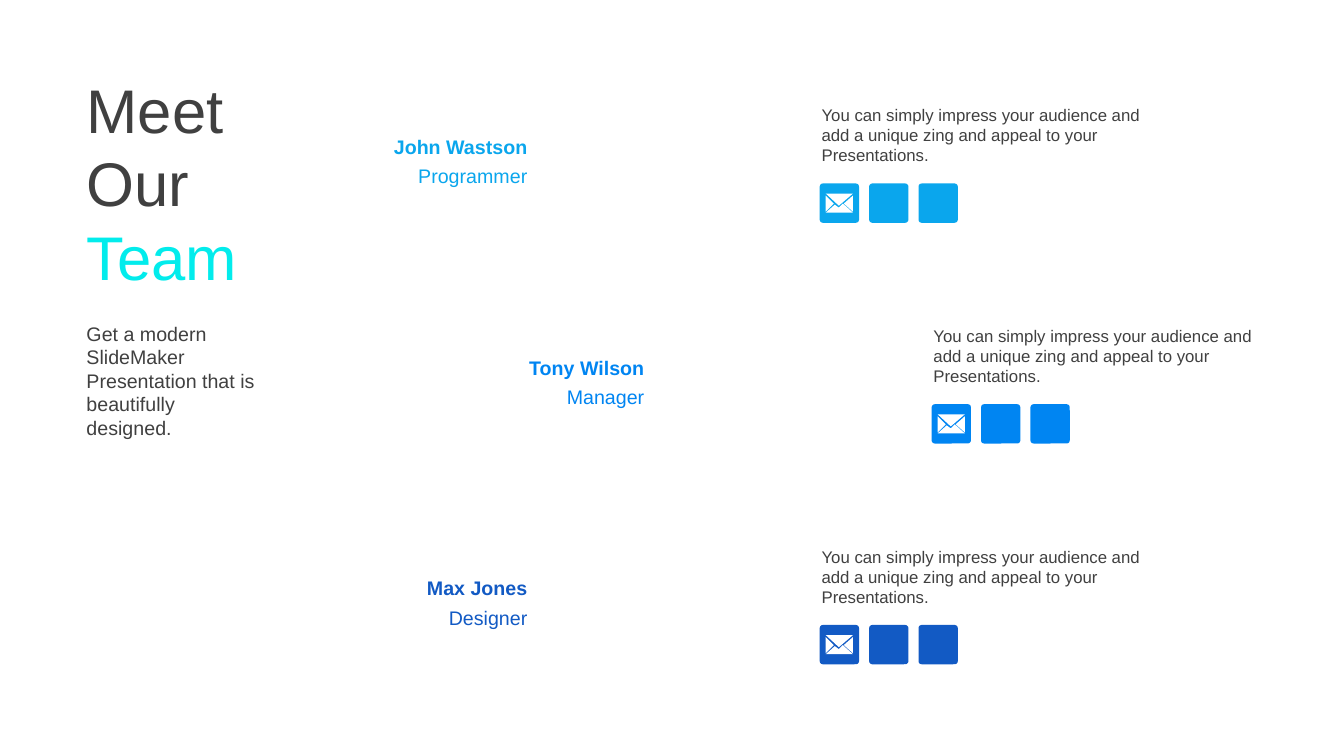
from dataclasses import dataclass

from pptx import Presentation
from pptx.dml.color import RGBColor
from pptx.enum.shapes import MSO_SHAPE
from pptx.enum.text import MSO_ANCHOR, PP_ALIGN
from pptx.shapes.autoshape import Shape
from pptx.slide import Slide
from pptx.util import Inches, Pt

FONT = "Arial"
DARK_GRAY = "404040"
CYAN = "02ECEC"
WHITE = "FFFFFF"
DESCRIPTION = (
    "You can simply impress your audience and add a unique zing "
    "and appeal to your Presentations."
)
FIRST_ROW_TOP = 0.99
ROW_PITCH = 2.19
TILE_SIZE = 0.39
TILE_PITCH = 0.49
TILE_COUNT = 3
ENVELOPE_PARTS = (
    ((6, 10), (19, 22), (33, 10)),
    ((6, 12), (6, 28), (14, 20)),
    ((33, 12), (25, 19), (24, 20), (33, 28)),
    ((23, 20), (19, 24), (15, 21), (6, 29), (33, 29)),
)


@dataclass(frozen=True)
class Member:
    name: str
    role: str
    color: str
    name_left: float
    description_left: float


MEMBERS = (
    Member("John Wastson", "Programmer", "0AA6ED", 3.6, 8.05),
    Member("Tony Wilson", "Manager", "0085F2", 4.76, 9.16),
    Member("Max Jones", "Designer", "125AC4", 3.6, 8.05),
)


def rgb(color: str) -> RGBColor:
    return RGBColor.from_string(color)


def add_text(
    slide: Slide,
    runs: list[tuple[str, str]],
    left: float,
    top: float,
    width: float,
    height: float,
    *,
    size: float,
    bold: bool = False,
    align: PP_ALIGN = PP_ALIGN.LEFT,
    anchor: MSO_ANCHOR = MSO_ANCHOR.TOP,
    space_before: float = 0,
    line_spacing: float = 1.0,
) -> None:
    box = slide.shapes.add_textbox(
        Inches(left), Inches(top), Inches(width), Inches(height)
    )
    frame = box.text_frame
    frame.word_wrap = True
    frame.vertical_anchor = anchor
    paragraph = frame.paragraphs[0]
    paragraph.alignment = align
    paragraph.space_before = Pt(space_before)
    paragraph.line_spacing = line_spacing
    for text, color in runs:
        run = paragraph.add_run()
        run.text = text
        run.font.name = FONT
        run.font.size = Pt(size)
        run.font.bold = bold
        run.font.color.rgb = rgb(color)


def paint(shape: Shape, color: str) -> None:
    shape.shadow.inherit = False
    shape.fill.solid()
    shape.fill.fore_color.rgb = rgb(color)
    shape.line.fill.background()


def add_tile(slide: Slide, left: float, top: float, color: str) -> None:
    tile = slide.shapes.add_shape(
        MSO_SHAPE.ROUNDED_RECTANGLE,
        Inches(left), Inches(top), Inches(TILE_SIZE), Inches(TILE_SIZE),
    )
    tile.adjustments[0] = 0.08
    paint(tile, color)


def add_envelope(slide: Slide, left: float, top: float) -> None:
    first, *others = ENVELOPE_PARTS
    builder = slide.shapes.build_freeform(*first[0], scale=Inches(0.01))
    builder.add_line_segments(first[1:], close=True)
    for part in others:
        builder.move_to(*part[0])
        builder.add_line_segments(part[1:], close=True)
    paint(builder.convert_to_shape(Inches(left), Inches(top)), WHITE)


def add_member(slide: Slide, member: Member, top: float) -> None:
    for text, offset, bold in ((member.name, 0.33, True), (member.role, 0.62, False)):
        add_text(
            slide, [(text, member.color)],
            member.name_left, top + offset, 1.73, 0.27,
            size=14, bold=bold, align=PP_ALIGN.RIGHT,
            anchor=MSO_ANCHOR.MIDDLE, space_before=2.8,
        )
    add_text(
        slide, [(DESCRIPTION, DARK_GRAY)],
        member.description_left, top, 3.41, 0.71, size=12,
    )
    tile_left = member.description_left + 0.08
    tile_top = top + 0.83
    for index in range(TILE_COUNT):
        add_tile(slide, tile_left + index * TILE_PITCH, tile_top, member.color)
    add_envelope(slide, tile_left, tile_top)


def main() -> None:
    presentation = Presentation()
    presentation.slide_width = Inches(13.33)
    presentation.slide_height = Inches(7.5)
    slide = presentation.slides.add_slide(presentation.slide_layouts[6])
    for index, member in enumerate(MEMBERS):
        add_member(slide, member, FIRST_ROW_TOP + index * ROW_PITCH)
    add_text(
        slide, [("Meet Our ", DARK_GRAY), ("Team", CYAN)],
        0.76, 0.66, 2.26, 2.32, size=44,
    )
    add_text(
        slide,
        [("Get a modern SlideMaker Presentation that is beautifully designed.", DARK_GRAY)],
        0.76, 3.14, 1.97, 1.04, size=14,
    )
    presentation.save("out.pptx")


if __name__ == "__main__":
    main()
